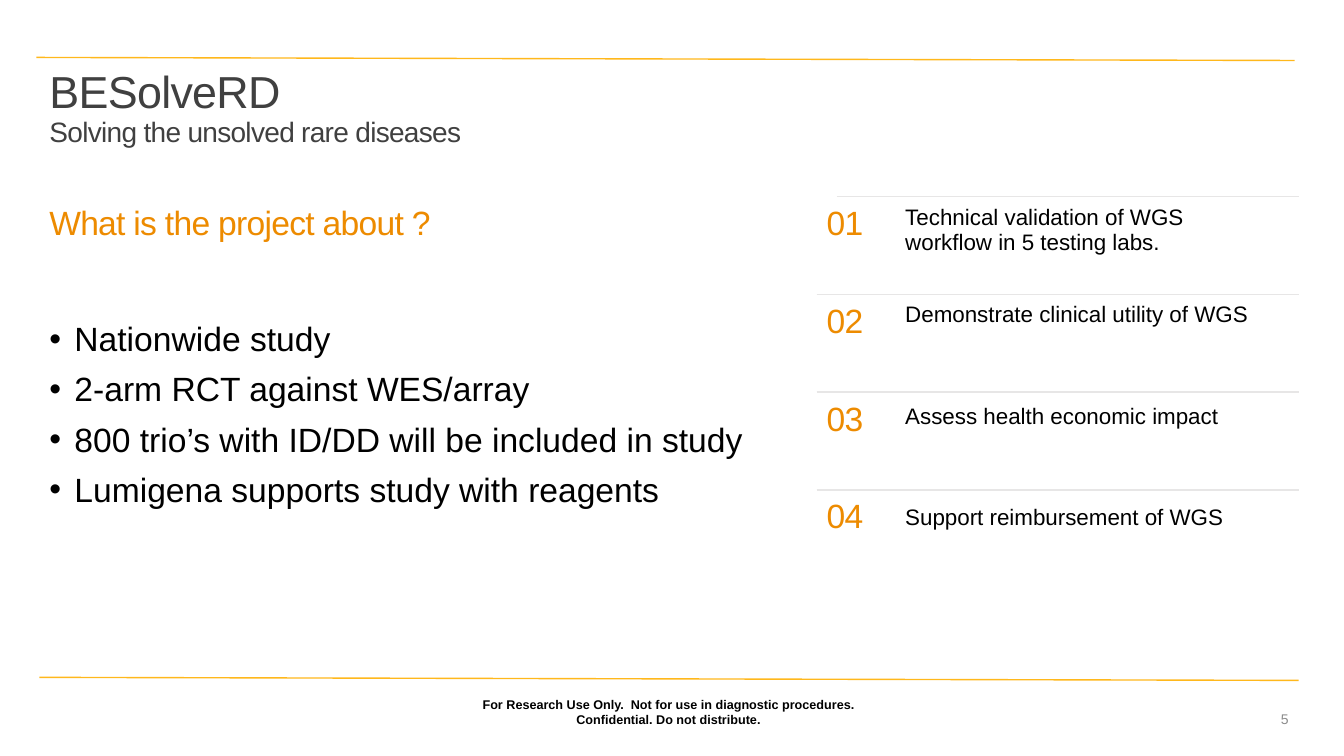
"""Build the BESolveRD project overview slide."""
import pptx
import pptx.util
import pptx.dml.color
import pptx.enum.shapes
import pptx.enum.text
import pptx.oxml.ns
from lxml import etree

Inches, Pt = pptx.util.Inches, pptx.util.Pt
ALIGN, ANCHOR = pptx.enum.text.PP_ALIGN, pptx.enum.text.MSO_ANCHOR
qn = pptx.oxml.ns.qn

THEME = {
    "font": "Arial",
    "gold": "FFB81C", "orange": "ED8B00", "ink": "000000",
    "heading": "404040", "muted": "8C8C8C", "rule": "E7E6E6",
    "title": 32, "subtitle": 20, "lead": 24, "body": 16, "number": 10, "legal": 9,
}
LEFT, RIGHT = 0.39, 12.88
AGENDA_LEFT, AGENDA_TEXT, AGENDA_TOP, PITCH = 8.1, 8.88, 1.95, 0.97

deck = pptx.Presentation()
deck.slide_width, deck.slide_height = Inches(13.33), Inches(7.5)
slide = deck.slides.add_slide(deck.slide_layouts[5])


def add_rule(x1, y1, x2, y2, color):
    rule = slide.shapes.add_connector(
        pptx.enum.shapes.MSO_CONNECTOR.STRAIGHT,
        Inches(x1), Inches(y1), Inches(x2), Inches(y2))
    rule.line.color.rgb = pptx.dml.color.RGBColor.from_string(THEME[color])
    rule.line.width = Pt(1)
    etree.SubElement(rule._element.spPr, qn("a:effectLst"))


def write(holder, box, lines, color, align=ALIGN.LEFT, anchor=ANCHOR.TOP,
          bold=False, tracking=0, spacing=0.9, before=10, bullet=None):
    """Place a text holder; each line is a list of (text, size role) runs."""
    holder.left, holder.top, holder.width, holder.height = map(Inches, box)
    frame = holder.text_frame
    frame.word_wrap = True
    frame.auto_size = pptx.enum.text.MSO_AUTO_SIZE.NONE
    frame.vertical_anchor = anchor
    for index, runs in enumerate(lines):
        paragraph = frame.add_paragraph() if index else frame.paragraphs[0]
        paragraph.alignment = align
        paragraph.line_spacing = spacing
        paragraph.space_before = Pt(before)
        if bullet:
            properties = paragraph._p.get_or_add_pPr()
            properties.set("marL", str(Inches(0.25)))
            properties.set("indent", str(-Inches(0.25)))
            etree.SubElement(properties, qn("a:buFont"), typeface=THEME["font"])
            etree.SubElement(properties, qn("a:buChar"), char=bullet)
        for position, (text, size) in enumerate(runs):
            if position:
                paragraph.add_line_break()
            run = paragraph.add_run()
            run.text = text
            run.font.name = THEME["font"]
            run.font.size = Pt(THEME[size])
            run.font.bold = bold
            run.font.color.rgb = pptx.dml.color.RGBColor.from_string(THEME[color])
            if tracking:
                run._r.get_or_add_rPr().set("spc", str(tracking))


def new_box():
    return slide.shapes.add_textbox(0, 0, 0, 0)


add_rule(LEFT, 6.72, RIGHT, 6.75, "gold")
add_rule(0.36, 0.57, 12.84, 0.6, "gold")

write(slide.shapes.title, (LEFT, 0.64, RIGHT - LEFT, 1.2),
      [[("BESolveRD", "title"), ("Solving the unsolved rare diseases", "subtitle")]],
      "heading", tracking=-50, before=0)

write(new_box(), (LEFT, 2, 7.19, 0.89),
      [[("What is the project about ?", "lead")]], "orange", tracking=-50)

study_facts = [
    "Nationwide study",
    "2-arm RCT against WES/array",
    "800 trio’s with ID/DD will be included in study",
    "Lumigena supports study with reagents",
]
write(new_box(), (LEFT, 3.15, 7.19, 2.27),
      [[(fact, "lead")] for fact in study_facts], "ink", bullet="•")

goals = [
    ("Technical validation of WGS workflow in 5 testing labs.", 0.05),
    ("Demonstrate clinical utility of WGS", 0.04),
    ("Assess health economic impact", 0.08),
    ("Support reimbursement of WGS", 0.11),
]
for row, (goal, drop) in enumerate(goals):
    top = AGENDA_TOP + row * PITCH
    add_rule(AGENDA_LEFT if row else 8.3, top, RIGHT, top, "rule")
    write(new_box(), (AGENDA_LEFT, top + 0.05, 0.83, 0.5),
          [[(f"{row + 1:02}", "lead")]], "orange", tracking=-50)
    write(new_box(), (AGENDA_TEXT, top + drop, 3.72, 0.5),
          [[(goal, "body")]], "ink")

legal_notice = ("For Research Use Only.  Not for use in diagnostic procedures. "
                "Confidential. Do not distribute.")
write(new_box(), (4.38, 6.86, 4.5, 0.4), [[(legal_notice, "legal")]], "ink",
      align=ALIGN.CENTER, anchor=ANCHOR.BOTTOM, bold=True, spacing=1.0, before=0)
write(new_box(), (RIGHT - 3, 7, 3, 0.27), [[("5", "number")]], "muted",
      align=ALIGN.RIGHT, anchor=ANCHOR.MIDDLE, spacing=1.0, before=0)

deck.save("out.pptx")
